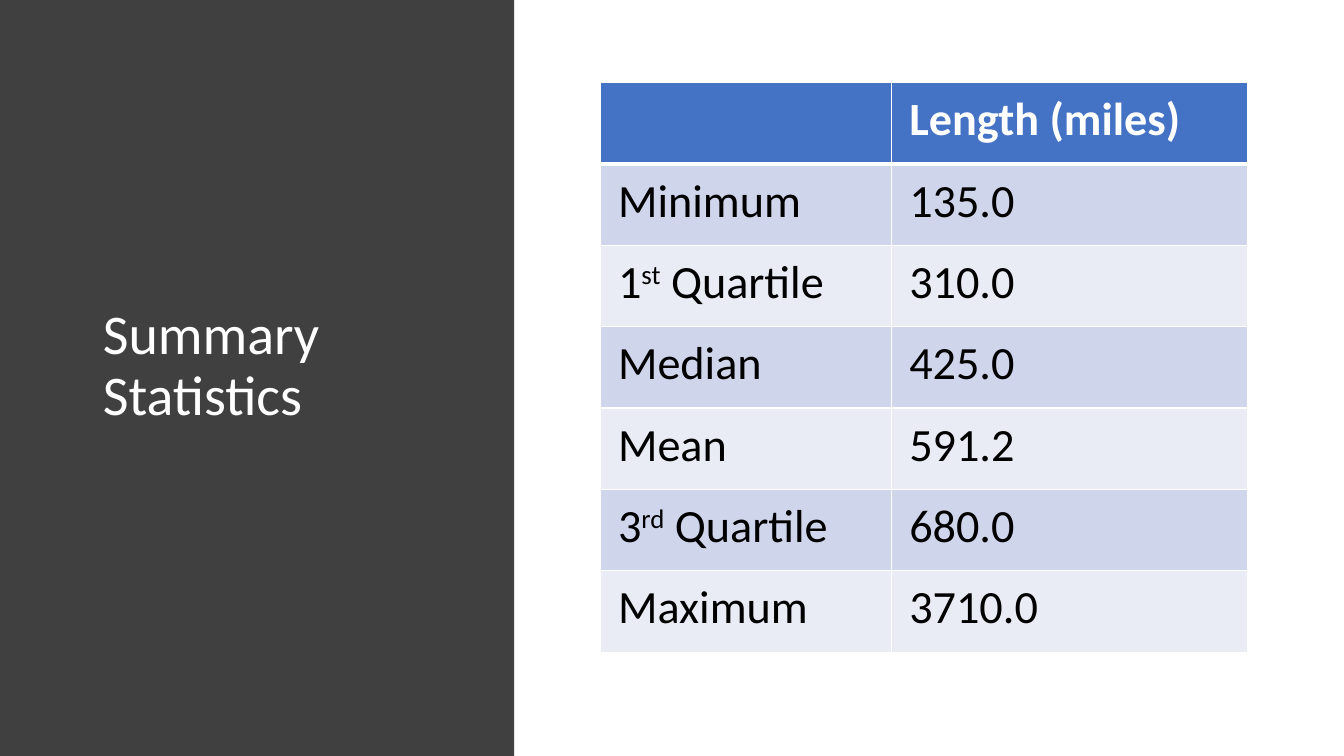
from dataclasses import dataclass

from lxml.etree import SubElement as Sub
from pptx import Presentation
from pptx.dml.color import RGBColor as Rgb
from pptx.enum.shapes import MSO_SHAPE as Geo
from pptx.enum.text import MSO_ANCHOR as Anchor, MSO_AUTO_SIZE as Fit, PP_ALIGN as Align
from pptx.oxml.ns import qn
from pptx.util import Inches, Pt


@dataclass(frozen=True)
class Theme:
    font: str = "Calibri"
    head: int = 40
    body: int = 33
    dark: str = "404040"
    white: str = "FFFFFF"
    black: str = "000000"
    blue: str = "4472C4"
    bands: tuple = ("CFD5EA", "E9EBF5")
    thin: int = 1
    thick: int = 3


def paint(item, color):
    item.fill.solid()
    item.fill.fore_color.rgb = Rgb.from_string(color)


def write(frame, text, *, font, size, color, bold=False, space=None):
    para = frame.paragraphs[0]
    para.alignment = Align.LEFT
    para.line_spacing = space
    for i, part in enumerate(text.split("^")):
        run = para.add_run()
        run.text = part
        run.font.name, run.font.size, run.font.bold = font, Pt(size), bold
        run.font.color.rgb = Rgb.from_string(color)
        if i % 2:
            run.font._element.set("baseline", "30000")


def edge(cell, color, **widths):
    props = cell._tc.get_or_add_tcPr()
    for side in "LRTB":
        line = Sub(props, qn(f"a:ln{side}"), w=str(Pt(widths[side])))
        Sub(Sub(line, qn("a:solidFill")), qn("a:srgbClr"), val=color)


class Deck:
    """Build slides from a theme, with places given as shares of the slide."""

    def __init__(self, theme):
        self.theme = theme
        self.prs = Presentation()
        self.prs.slide_width, self.prs.slide_height = Inches(13.33), Inches(7.5)
        self.slide = self.prs.slides.add_slide(self.prs.slide_layouts[5])

    def place(self, x, y, w, h):
        wide, high = self.prs.slide_width, self.prs.slide_height
        return [round(n) for n in (x * wide, y * high, w * wide, h * high)]

    def title(self, text, *box):
        t, shape = self.theme, self.slide.shapes.title
        shape.left, shape.top, shape.width, shape.height = self.place(*box)
        frame = shape.text_frame
        frame.word_wrap, frame.auto_size = True, Fit.NONE
        frame.vertical_anchor = Anchor.MIDDLE
        write(frame, text, font=t.font, size=t.head, color=t.white, space=0.9)

    def panel(self, *box):
        shape = self.slide.shapes.add_shape(Geo.RECTANGLE, *self.place(*box))
        shape.shadow.inherit = False
        paint(shape, self.theme.dark)
        shape.line.fill.background()
        self.slide.shapes.title.element.addprevious(shape.element)

    def table(self, data, shares, *box):
        place = self.place(*box)
        grid = self.slide.shapes.add_table(len(data), len(shares), *place).table
        for col, share in zip(grid.columns, shares):
            col.width = round(place[2] * share)
        for r, row in enumerate(data):
            for c, text in enumerate(row):
                self.cell(grid.cell(r, c), text, r)

    def cell(self, cell, text, row):
        t, top = self.theme, row == 0
        cell.margin_left = cell.margin_right = Inches(0.18)
        cell.margin_top = cell.margin_bottom = Inches(0.09)
        edge(cell, t.white, L=t.thin, R=t.thin,
             T=t.thick if row == 1 else t.thin, B=t.thick if top else t.thin)
        paint(cell, t.blue if top else t.bands[(row - 1) % 2])
        if text:
            write(cell.text_frame, text, font=t.font, size=t.body,
                  color=t.white if top else t.black, bold=top)

    def save(self):
        self.prs.save("out.pptx")


STATS = [
    ("", "Length (miles)"),
    ("Minimum", "135.0"),
    ("1^st^ Quartile", "310.0"),
    ("Median", "425.0"),
    ("Mean", "591.2"),
    ("3^rd^ Quartile", "680.0"),
    ("Maximum", "3710.0"),
]


def main():
    deck = Deck(Theme())
    wide, high = 13.33, 7.5
    deck.title("Summary Statistics", 0.92 / wide, 0.68 / high, 3.67 / wide, 5.92 / high)
    deck.panel(0, 0, 5.1 / wide, 1)
    deck.table(STATS, (0.45, 0.55), 5.95 / wide, 0.82 / high, 6.42 / wide, 5.65 / high)
    deck.save()


if __name__ == "__main__":
    main()
